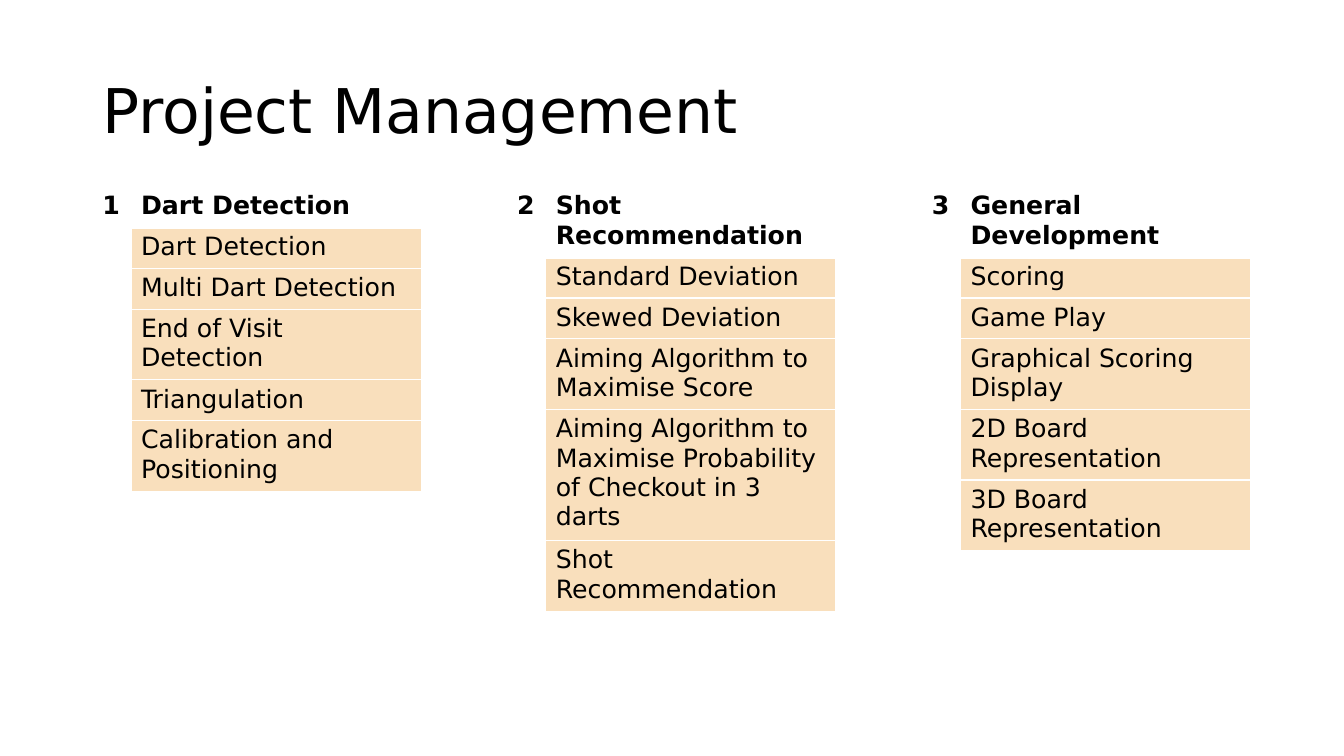
from lxml import etree
from pptx import Presentation
from pptx.dml.color import RGBColor
from pptx.enum.text import MSO_ANCHOR
from pptx.oxml.ns import qn
from pptx.util import Pt

MIDDLE = MSO_ANCHOR.MIDDLE
FACE = "DejaVu Sans"
BLACK, WHITE, PEACH = "000000", "FFFFFF", "F9DFBC"

TASKS = [
    ("Dart Detection",
     ["Dart Detection", "Multi Dart Detection", "End of Visit Detection",
      "Triangulation", "Calibration and Positioning"]),
    ("Shot Recommendation",
     ["Standard Deviation", "Skewed Deviation",
      "Aiming Algorithm to Maximise Score",
      "Aiming Algorithm to Maximise Probability of Checkout in 3 darts",
      "Shot Recommendation"]),
    ("General Development",
     ["Scoring", "Game Play", "Graphical Scoring Display",
      "2D Board Representation", "3D Board Representation"]),
]


def color(code):
    return RGBColor.from_string(code)


def style(frame, size, bold=False):
    for para in frame.paragraphs:
        for run in para.runs:
            font = run.font
            font.name, font.size, font.bold = FACE, Pt(size), bold
            font.color.rgb = color(BLACK)


def border(cell, base):
    """Draw white cell edges; base is the width of the bottom edge."""
    props = cell._tc.get_or_add_tcPr()
    for side, width in (("L", 1), ("R", 1), ("T", 1), ("B", base)):
        line = etree.SubElement(props, qn("a:ln" + side), w=str(Pt(width)))
        fill = etree.SubElement(line, qn("a:solidFill"))
        etree.SubElement(fill, qn("a:srgbClr"), val=WHITE)


def add_title(slide, text, left, top, width, height):
    frame = slide.shapes.add_textbox(
        Pt(left), Pt(top), Pt(width), Pt(height)).text_frame
    frame.word_wrap = True
    frame.vertical_anchor = MIDDLE
    frame.text = text
    frame.paragraphs[0].line_spacing = 0.9
    style(frame, 44)


def add_tasks(slide, number, head, items, left, top, width):
    rows = [(str(number), head)] + [("", item) for item in items]
    high = 29.2
    table = slide.shapes.add_table(
        len(rows), 2, Pt(left), Pt(top), Pt(width),
        Pt(high * len(rows))).table
    table.first_row = table.horz_banding = False

    # Narrow number column beside the task column
    slim = 27.6
    table.columns[0].width = Pt(slim)
    table.columns[1].width = Pt(width - slim)

    for r, texts in enumerate(rows):
        for c, text in enumerate(texts):
            cell = table.cell(r, c)
            border(cell, 3 if r == 0 else 1)
            if r and c:
                cell.fill.solid()
                cell.fill.fore_color.rgb = color(PEACH)
            else:
                cell.fill.background()
            cell.text_frame.text = text
            style(cell.text_frame, 18, bold=r == 0)


def main():
    deck = Presentation()
    deck.slide_width, deck.slide_height = Pt(960), Pt(540)
    slide = deck.slides.add_slide(deck.slide_layouts[6])

    # Heading
    left, top = 66, 133.2
    add_title(slide, "Project Management", left, 28.75, 828, 104.4)

    # Three task lists, evenly spaced
    step = 296.25
    for i, (head, items) in enumerate(TASKS):
        add_tasks(slide, i + 1, head, items, left + i * step, top, 235)

    deck.save("out.pptx")


if __name__ == "__main__":
    main()
